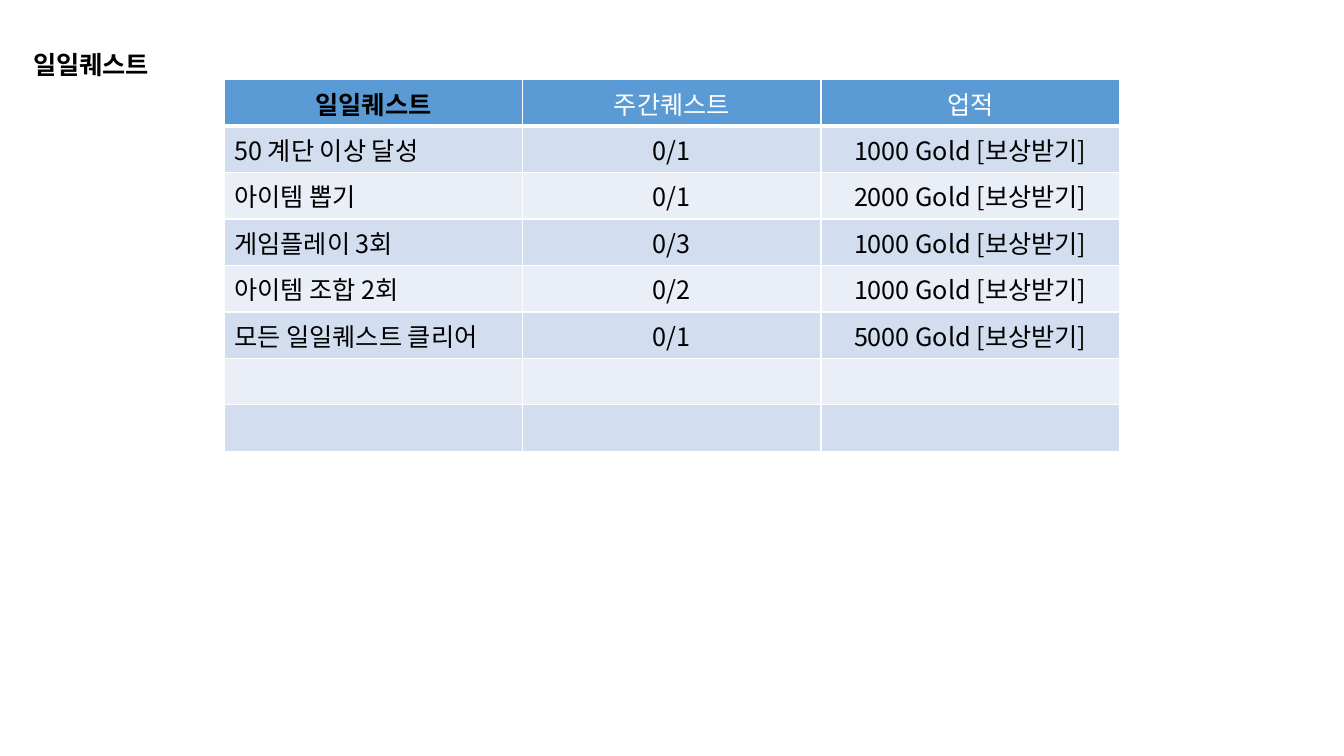
"""Builds the daily quest slide with its reward table."""
from lxml import etree
from pptx import Presentation
from pptx import util as u
from pptx.dml.color import RGBColor
from pptx.enum import text
from pptx.oxml.ns import qn

FONT = "Noto Sans CJK KR"
TITLE = "일일퀘스트"
TABS = ("일일퀘스트", "주간퀘스트", "업적")
QUESTS = [
    ("50 계단 이상 달성", "0/1", 1000),
    ("아이템 뽑기", "0/1", 2000),
    ("게임플레이 3회", "0/3", 1000),
    ("아이템 조합 2회", "0/2", 1000),
    ("모든 일일퀘스트 클리어", "0/1", 5000),
]
EMPTY_ROWS = 2
BLACK, WHITE, HEADER = "000000", "FFFFFF", "5B9BD5"
BANDS = ("EAEFF7", "D2DEEF")
COLUMN_WIDTH, ROW_HEIGHT = u.Cm(7.52), u.Cm(1.17)


def color(value):
    return RGBColor.from_string(value)


def style(frame, align, ink=BLACK, bold=False):
    for para in frame.paragraphs:
        para.alignment = align
        for span in para.runs:
            span.font.name = FONT
            span.font.size = u.Pt(18)
            span.font.bold = bold
            span.font.color.rgb = color(ink)
            east_asian = etree.SubElement(span.font._element, qn("a:ea"))
            east_asian.set("typeface", FONT)


def add_borders(cell, bottom):
    properties = cell._tc.get_or_add_tcPr()
    for side, points in (("L", 1), ("R", 1), ("T", 1), ("B", bottom)):
        line = etree.SubElement(properties, qn(f"a:ln{side}"), w=str(u.Pt(points)))
        fill = etree.SubElement(line, qn("a:solidFill"))
        etree.SubElement(fill, qn("a:srgbClr"), val=WHITE)


def add_title(page):
    box = page.shapes.title
    box.left, box.top, box.width, box.height = map(u.Cm, (0.58, 1.12, 7.47, 1.02))
    frame = box.text_frame
    frame.text = TITLE
    frame.auto_size = text.MSO_AUTO_SIZE.SHAPE_TO_FIT_TEXT
    frame.vertical_anchor = text.MSO_ANCHOR.TOP
    style(frame, text.PP_ALIGN.LEFT, bold=True)


def add_quests(page):
    rows = [TABS]
    rows += [(name, count, f"{gold} Gold [보상받기]") for name, count, gold in QUESTS]
    rows += [("",) * len(TABS)] * EMPTY_ROWS
    table = page.shapes.add_table(
        len(rows), len(TABS), u.Cm(5.65), u.Cm(2.01),
        COLUMN_WIDTH * len(TABS), ROW_HEIGHT * len(rows)).table
    for column in table.columns:
        column.width = COLUMN_WIDTH
    for r, row in enumerate(rows):
        table.rows[r].height = ROW_HEIGHT
        for c, words in enumerate(row):
            cell = table.cell(r, c)
            header, selected = r == 0, r == 0 and c == 0
            add_borders(cell, 3 if header else 1)
            cell.fill.solid()
            cell.fill.fore_color.rgb = color(HEADER if header else BANDS[r % 2])
            cell.text_frame.text = words
            align = text.PP_ALIGN.CENTER if header or c else text.PP_ALIGN.LEFT
            ink = WHITE if header and not selected else BLACK
            style(cell.text_frame, align, ink, selected)


deck = Presentation()
deck.slide_width, deck.slide_height = u.Cm(33.87), u.Cm(19.05)
page = deck.slides.add_slide(deck.slide_layouts[5])
add_quests(page)
add_title(page)
deck.save("out.pptx")
